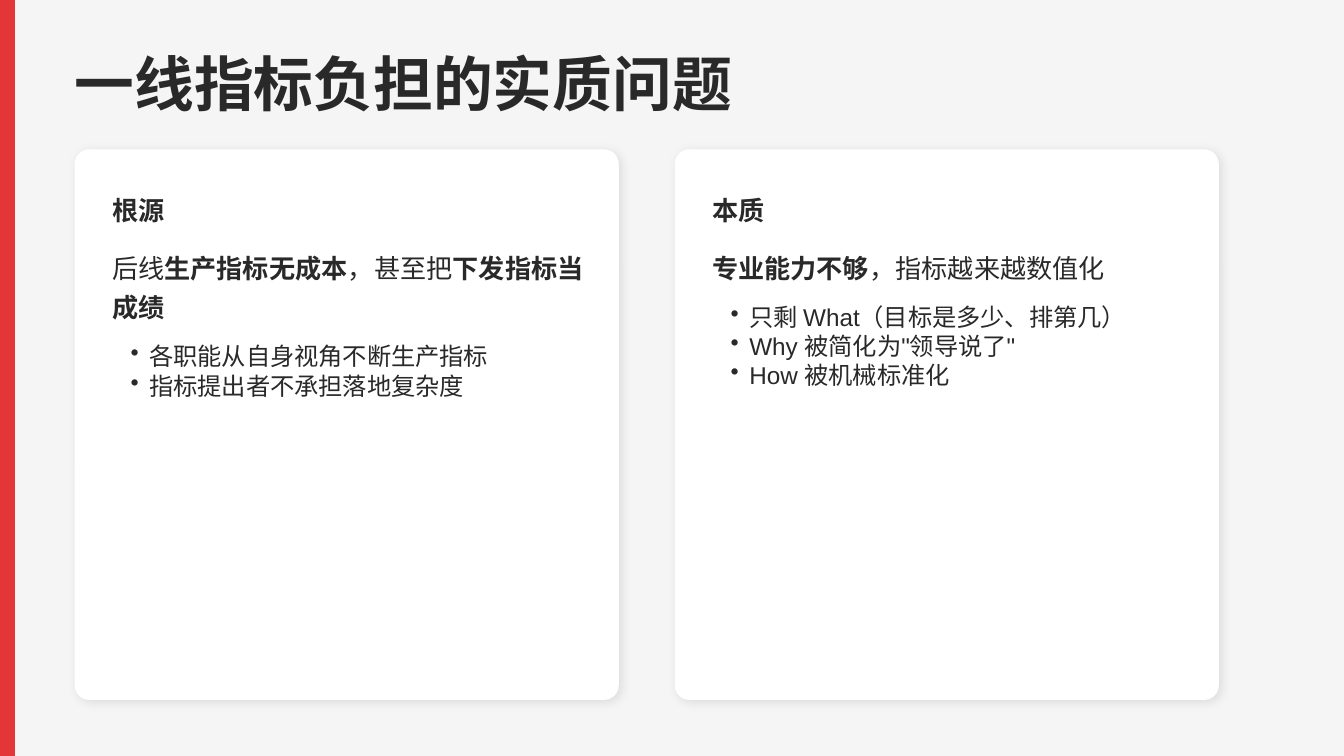
from lxml import etree
from pptx import Presentation
from pptx.dml.color import RGBColor
from pptx.enum.shapes import MSO_SHAPE
from pptx.enum.text import MSO_ANCHOR, MSO_AUTO_SIZE, PP_ALIGN
from pptx.oxml.ns import qn
from pptx.util import Pt

RECT, ROUNDED = MSO_SHAPE.RECTANGLE, MSO_SHAPE.ROUNDED_RECTANGLE
TOP, LEFT, NO_AUTOFIT = MSO_ANCHOR.TOP, PP_ALIGN.LEFT, MSO_AUTO_SIZE.NONE

TITLE = "一线指标负担的实质问题"
# Lead runs are (text, bold); lead_lines is the number of lines the lead fills.
CARDS = [
    {
        "heading": "根源",
        "lead": [("后线", False), ("生产指标无成本", True),
                 ("，甚至把", False), ("下发指标当成绩", True)],
        "lead_lines": 2,
        "bullets": ["各职能从自身视角不断生产指标", "指标提出者不承担落地复杂度"],
    },
    {
        "heading": "本质",
        "lead": [("专业能力不够", True), ("，指标越来越数值化", False)],
        "lead_lines": 1,
        "bullets": ["只剩 What（目标是多少、排第几）",
                    'Why 被简化为"领导说了"', "How 被机械标准化"],
    },
]

FONT, INK, RED, WHITE, PAPER = "Arial", "292929", "E33737", "FFFFFF", "F5F5F5"
SLIDE_W, SLIDE_H = 720, 405
CARD_X, CARD_Y, CARD_W, CARD_H, CARD_GAP = 40, 80, 291.5, 295, 30
PAD, TEXT_W, BULLET_W = 20, 256.5, 251.5
LINE, SPACE, INDENT = 21, 10, 10
BULLET_LINE = 15.6


def rgb(value):
    return RGBColor.from_string(value)


def add_block(slide, kind, x, y, w, h, fill):
    sp = slide.shapes.add_shape(kind, Pt(x), Pt(y), Pt(w), Pt(h))
    sp.shadow.inherit = False
    sp.fill.solid()
    sp.fill.fore_color.rgb = rgb(fill)
    sp.line.fill.background()
    return sp


def add_soft_shadow(sp):
    effects = sp._element.spPr.find(qn("a:effectLst"))
    shadow = etree.SubElement(
        effects, qn("a:outerShdw"), blurRad=str(Pt(6)), dist=str(Pt(2.1)),
        dir=str(45 * 60000), algn="bl", rotWithShape="0")
    color = etree.SubElement(shadow, qn("a:srgbClr"), val="000000")
    etree.SubElement(color, qn("a:alpha"), val="10000")


def set_frame(tf, inset=0):
    tf.word_wrap = True
    tf.auto_size = NO_AUTOFIT
    tf.vertical_anchor = TOP
    tf.margin_left = Pt(inset)
    tf.margin_top = tf.margin_right = tf.margin_bottom = 0


def add_text_frame(slide, x, y, w, h, inset=0):
    tf = slide.shapes.add_textbox(Pt(x), Pt(y), Pt(w), Pt(h)).text_frame
    set_frame(tf, inset)
    return tf


def style(p, size):
    p.alignment = LEFT
    p.font.name, p.font.size = FONT, Pt(size)
    p.font.color.rgb = rgb(INK)


def add_paragraph_box(slide, x, y, lines, runs):
    p = add_text_frame(slide, x, y, TEXT_W, lines * LINE).paragraphs[0]
    style(p, 14)
    p.line_spacing, p.space_after = Pt(LINE), Pt(SPACE)
    for text, bold in runs:
        r = p.add_run()
        r.text, r.font.bold = text, bold


def add_bullets(slide, x, y, items):
    tf = add_text_frame(slide, x, y, BULLET_W, len(items) * BULLET_LINE, INDENT)
    for i, item in enumerate(items):
        p = tf.paragraphs[0] if i == 0 else tf.add_paragraph()
        p.text = item
        style(p, 13)
        pPr = p._p.get_or_add_pPr()
        pPr.set("marL", str(Pt(INDENT)))
        pPr.set("indent", str(-Pt(INDENT)))
        bullet = etree.Element(qn("a:buChar"), char="•")
        pPr.insert_element_before(bullet, "a:tabLst", "a:defRPr", "a:extLst")


def add_card(slide, x, card):
    sp = add_block(slide, ROUNDED, x, CARD_Y, CARD_W, CARD_H, WHITE)
    sp.adjustments[0] = 0.027
    add_soft_shadow(sp)
    x, y = x + PAD, CARD_Y + PAD
    add_paragraph_box(slide, x, y, 1, [(card["heading"], True)])
    y += LINE + SPACE
    add_paragraph_box(slide, x, y, card["lead_lines"], card["lead"])
    y += card["lead_lines"] * LINE + SPACE
    add_bullets(slide, x, y, card["bullets"])


def main():
    prs = Presentation()
    prs.slide_width, prs.slide_height = Pt(SLIDE_W), Pt(SLIDE_H)
    s = prs.slides.add_slide(prs.slide_layouts[5])
    s.background.fill.solid()
    s.background.fill.fore_color.rgb = rgb(PAPER)

    add_block(s, RECT, 0, 0, 8, SLIDE_H, RED)

    title = s.shapes.title
    title.left, title.top = Pt(CARD_X), Pt(25)
    title.width, title.height = Pt(653), Pt(46)
    set_frame(title.text_frame)
    title.text_frame.text = TITLE
    p = title.text_frame.paragraphs[0]
    style(p, 32)
    p.font.bold = True

    for i, card in enumerate(CARDS):
        add_card(s, CARD_X + i * (CARD_W + CARD_GAP), card)

    prs.save("out.pptx")


if __name__ == "__main__":
    main()
